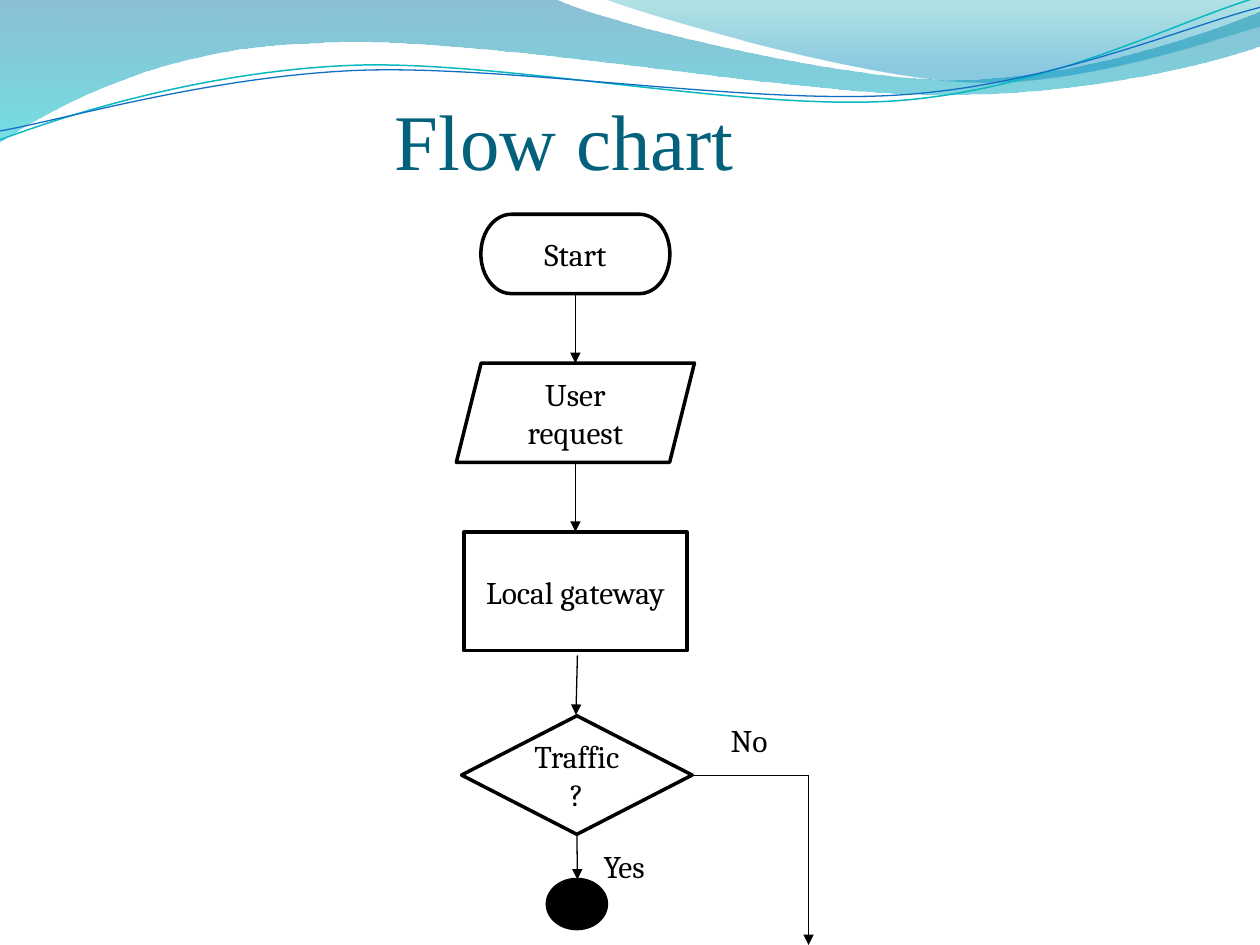
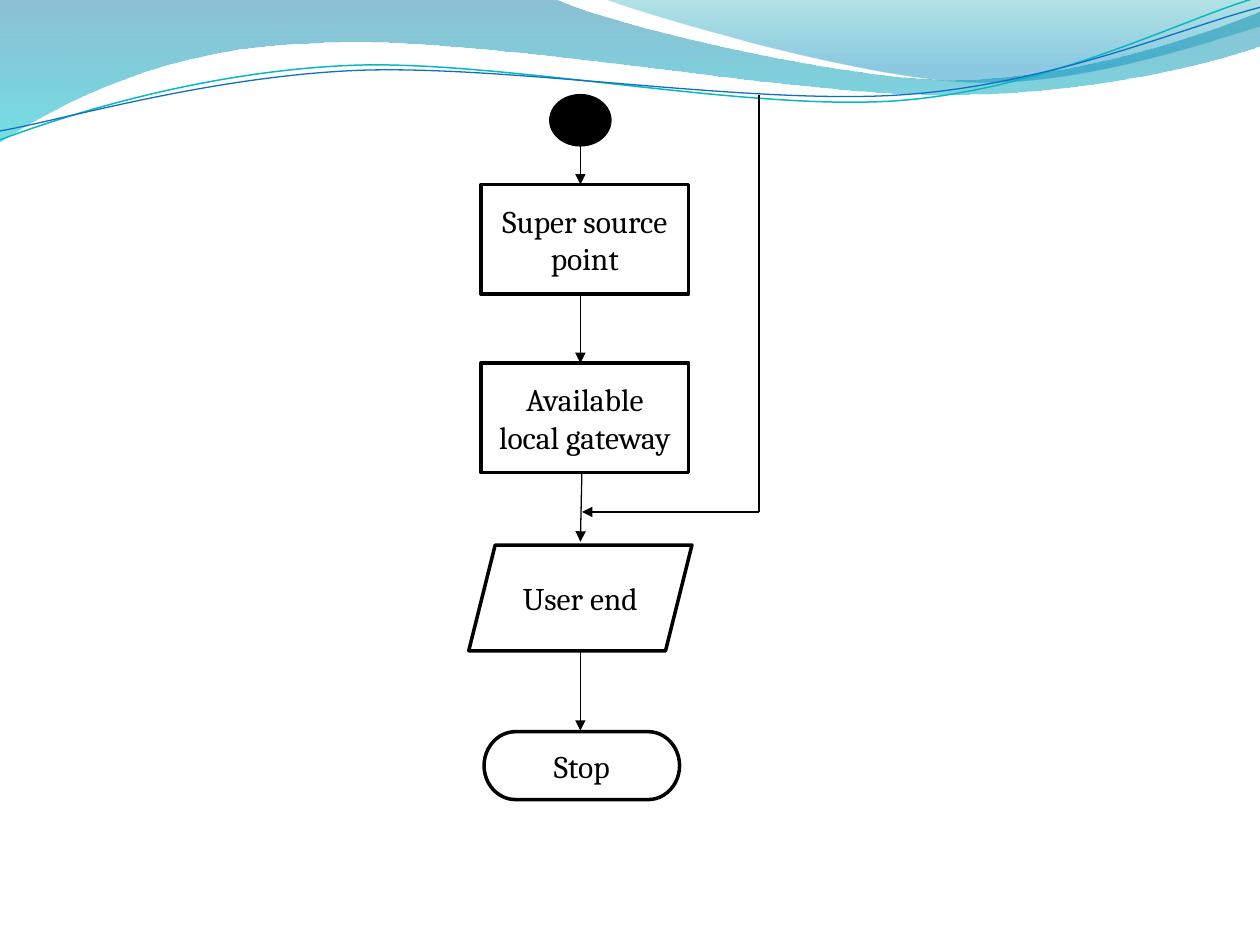
"""Build a two-slide flow chart under a shared wave header."""
from dataclasses import dataclass

from lxml import etree
from pptx import Presentation
from pptx.dml.color import RGBColor
from pptx.enum.shapes import MSO_CONNECTOR, MSO_SHAPE
from pptx.enum.text import MSO_ANCHOR, MSO_AUTO_SIZE, PP_ALIGN
from pptx.oxml.ns import qn
from pptx.util import Cm, Pt

PILL = MSO_SHAPE.FLOWCHART_TERMINATOR
SLANT = MSO_SHAPE.PARALLELOGRAM
RECT = MSO_SHAPE.RECTANGLE
STEP = MSO_SHAPE.FLOWCHART_PROCESS
CHOICE = MSO_SHAPE.FLOWCHART_DECISION
OVAL = MSO_SHAPE.OVAL
LINE = MSO_CONNECTOR.STRAIGHT
LEFT, CENTER = PP_ALIGN.LEFT, PP_ALIGN.CENTER
MIDDLE, BOTTOM = MSO_ANCHOR.MIDDLE, MSO_ANCHOR.BOTTOM
FIXED = MSO_AUTO_SIZE.NONE
TITLED, BLANK = 5, 6

BAND = [(0, 0), [(11.18, -0.03)],
        [(12.09, 0.43), (16.87, 1.6), (19.25, 1.6)],
        [(21.67, 1.6), (24.33, 0.66), (25.4, 0.23)],
        [(25.43, 0.91)],
        [(24.97, 1.12), (22.1, 1.93), (18.95, 1.91)],
        [(15.8, 1.91), (9.7, 0.71), (6.53, 0.86)],
        [(3.28, 0.91), (1.17, 2.11), (-0.03, 2.87)],
        [(0, 0)]]
GLOW = [(12.17, -0.03),
        [(12.93, 0.28), (17.32, 1.57), (19.53, 1.65)],
        [(21.74, 1.75), (24.41, 0.81), (25.4, 0.53)],
        [(25.4, 0)],
        [(12.17, -0.03)]]
TEAL = [(0, 2.82),
        [(1.22, 2.36), (4.01, 1.45), (7.04, 1.32)],
        [(10.03, 1.19), (15.06, 2.26), (18.11, 2.03)],
        [(21.16, 1.8), (23.83, 0.38), (25.35, -0.05)]]
BLUE = [(0, 2.64),
        [(1.19, 2.44), (4.17, 1.55), (7.19, 1.42)],
        [(10.24, 1.3), (15.16, 2.13), (18.21, 1.91)],
        [(21.23, 1.7), (23.9, 0.53), (25.4, 0.15)]]


@dataclass(frozen=True)
class Theme:
    """Colours, fonts and sizes of the deck."""
    ink: str = "000000"
    paper: str = "FFFFFF"
    title: str = "04617B"
    teal: str = "0AB8BF"
    blue: str = "0F6FC6"
    band: tuple = ((0, "0074A1", 45), (1, "00C6CF", 55))
    glow: tuple = ((0, "00A1A9", 30), (0.8, "008BBF", 45))
    head: str = "Times New Roman"
    body: str = "Cambria"
    large: float = 45
    text: float = 18
    edge: float = 2
    thin: float = 0.75
    wave: float = 0.85


def bend(shape, route):
    """Turn the straight parts of a freeform into its curves."""
    steps = list(shape.element.spPr.iter(qn("a:lnTo")))
    for step, part in zip(steps, route[1:]):
        if len(part) == 1:
            continue
        step.tag = qn("a:cubicBezTo")
        for i, (x, y) in enumerate(part[:-1]):
            knob = etree.Element(qn("a:pt"), x=str(Cm(x) - shape.left),
                                 y=str(Cm(y) - shape.top))
            step.insert(i, knob)


class Deck:
    """Holds the theme and the current slide."""

    def __init__(self, theme):
        """Open a blank 4:3 file."""
        self.theme = theme
        self.prs = Presentation()
        self.prs.slide_width, self.prs.slide_height = Cm(25.4), Cm(19.05)

    def page(self, kind):
        """Add a slide and make it current."""
        self.slide = self.prs.slides.add_slide(self.prs.slide_layouts[kind])
        self.shapes = self.slide.shapes

    def font(self, frame, face, size, color, align):
        """Style every paragraph of a frame."""
        for para in frame.paragraphs:
            para.alignment = align
            para.font.name = face
            para.font.size = Pt(size)
            para.font.color.rgb = RGBColor.from_string(color)

    def stroke(self, shape, color, width):
        """Set the outline of a shape."""
        shape.line.color.rgb = RGBColor.from_string(color)
        shape.line.width = Pt(width)

    def title(self, text, x, y, w, h):
        """Place and fill the title."""
        box = self.shapes.title
        box.left, box.top, box.width, box.height = map(Cm, (x, y, w, h))
        frame = box.text_frame
        frame.text = text
        frame.auto_size = FIXED
        frame.vertical_anchor = BOTTOM
        th = self.theme
        self.font(frame, th.head, th.large, th.title, LEFT)

    def node(self, kind, mid, top, w, h, text="", fill=None):
        """Draw a flow chart shape centred on mid."""
        th = self.theme
        shape = self.shapes.add_shape(
            kind, Cm(mid - w / 2), Cm(top), Cm(w), Cm(h))
        shape.shadow.inherit = False
        shape.fill.solid()
        shape.fill.fore_color.rgb = RGBColor.from_string(fill or th.paper)
        self.stroke(shape, th.ink, th.edge)
        if text:
            frame = shape.text_frame
            frame.text = text
            frame.word_wrap = True
            frame.vertical_anchor = MIDDLE
            self.font(frame, th.body, th.text, th.ink, CENTER)

    def dot(self, mid, top):
        """Draw the joint that links the two slides."""
        self.node(OVAL, mid, top, 1.19, 0.99, fill=self.theme.ink)

    def label(self, text, x, y, w):
        """Write a branch label."""
        frame = self.shapes.add_textbox(
            Cm(x), Cm(y), Cm(w), Cm(1.02)).text_frame
        frame.text = text
        frame.word_wrap = True
        th = self.theme
        self.font(frame, th.body, th.text, th.ink, LEFT)

    def link(self, x1, y1, x2, y2, arrow=True):
        """Draw a line, with an arrowhead at its end by default."""
        line = self.shapes.add_connector(LINE, *map(Cm, (x1, y1, x2, y2)))
        self.stroke(line, self.theme.ink, self.theme.thin)
        if arrow:
            etree.SubElement(line.element.spPr.find(qn("a:ln")),
                             qn("a:tailEnd"), type="triangle")
        etree.SubElement(line.element.spPr, qn("a:effectLst"))

    def drop(self, x, *spans):
        """Draw downward arrows along one axis."""
        for top, end in spans:
            self.link(x, top, x, end)

    def wave(self, route, stops=None, color=None, width=0):
        """Draw a filled or stroked wave and move it to the master."""
        ends = [route[0]] + [part[-1] for part in route[1:]]
        first, *rest = [(Cm(x), Cm(y)) for x, y in ends]
        pen = self.shapes.build_freeform(*first)
        pen.add_line_segments(rest, close=bool(stops))
        shape = pen.convert_to_shape()
        bend(shape, route)
        shape.shadow.inherit = False
        if stops:
            shape.line.fill.background()
            shape.fill.gradient()
            shape.fill.gradient_angle = 270
            for stop, (pos, tint, _) in zip(shape.fill.gradient_stops, stops):
                stop.position = pos
                stop.color.rgb = RGBColor.from_string(tint)
            tints = shape.element.spPr.iter(qn("a:srgbClr"))
            for tint, (_, _, alpha) in zip(tints, stops):
                etree.SubElement(tint, qn("a:alpha"), val=str(alpha * 1000))
        else:
            shape.fill.background()
            self.stroke(shape, color, width)
        pool = self.prs.slide_master.shapes
        shape.element.nvSpPr.cNvPr.set("id", str(100 + len(pool)))
        pool.element.append(shape.element)

    def header(self):
        """Draw the waves that all slides share."""
        th = self.theme
        self.wave(BAND, th.band)
        self.wave(GLOW, th.glow)
        self.wave(TEAL, color=th.teal, width=th.wave)
        self.wave(BLUE, color=th.blue, width=th.thin)


def ask(deck):
    """Build the first half of the chart."""
    axis, fork, side, turn = 11.6, 11.63, 16.3, 15.63
    deck.page(TITLED)
    deck.header()
    deck.title("Flow chart", 7.7, 1.71, 16, 2.18)
    deck.node(PILL, axis, 4.32, 3.81, 1.6, "Start")
    deck.drop(axis, (5.92, 7.32))
    deck.node(SLANT, axis, 7.32, 4.8, 2, "User\nrequest")
    deck.node(RECT, axis, 10.73, 4.5, 2.39, "Local gateway")
    deck.drop(axis, (9.32, 10.72))
    deck.node(CHOICE, fork, 14.43, 4.65, 2.39, "Traffic?")
    deck.link(11.64, 13.21, 11.61, 14.41)
    deck.link(13.95, turn, side, turn, arrow=False)
    deck.label("No", 14.48, 14.41, 1.42)
    deck.link(fork, 16.82, 11.64, 17.73)
    deck.dot(fork, 17.73)
    deck.label("Yes", 11.92, 16.95, 1.57)
    deck.link(side, turn, side, 19.05)


def serve(deck):
    """Build the second half of the chart."""
    axis, mid, side, turn = 11.7, 11.79, 15.3, 10.32
    deck.page(BLANK)
    deck.dot(axis, 1.93)
    deck.drop(axis, (2.92, 3.72))
    deck.node(RECT, mid, 3.72, 4.19, 2.21, "Super source point")
    deck.node(STEP, mid, 7.32, 4.19, 2.21, "Available local gateway")
    deck.drop(axis, (5.92, 7.32))
    deck.link(11.73, 9.53, axis, 10.92)
    deck.node(SLANT, axis, 10.99, 4.5, 2.13, "User end")
    deck.drop(axis, (13.13, 14.73))
    deck.node(PILL, 11.73, 14.75, 3.94, 1.37, "Stop")
    deck.link(side, 1.92, side, turn, arrow=False)
    deck.link(side, turn, 11.73, turn)


def main():
    """Build and save the deck."""
    deck = Deck(Theme())
    ask(deck)
    serve(deck)
    deck.prs.save("out.pptx")


if __name__ == "__main__":
    main()
